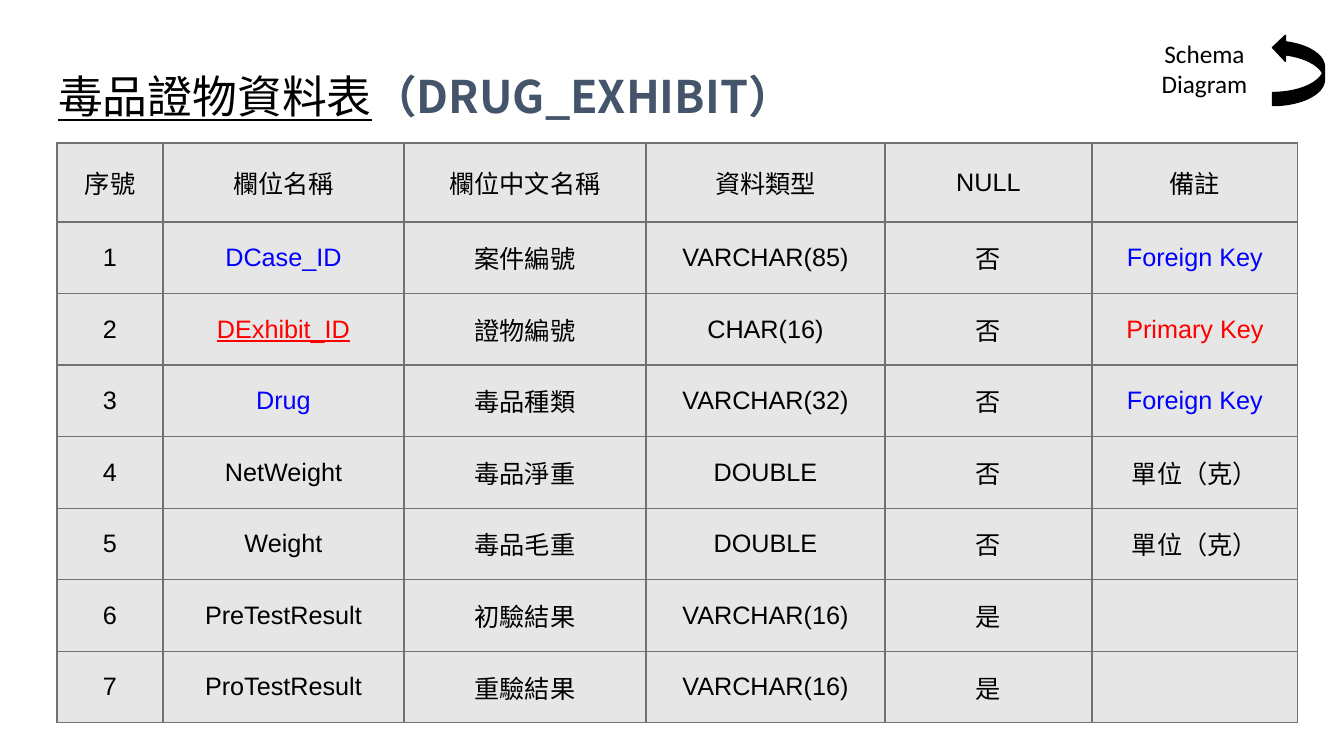
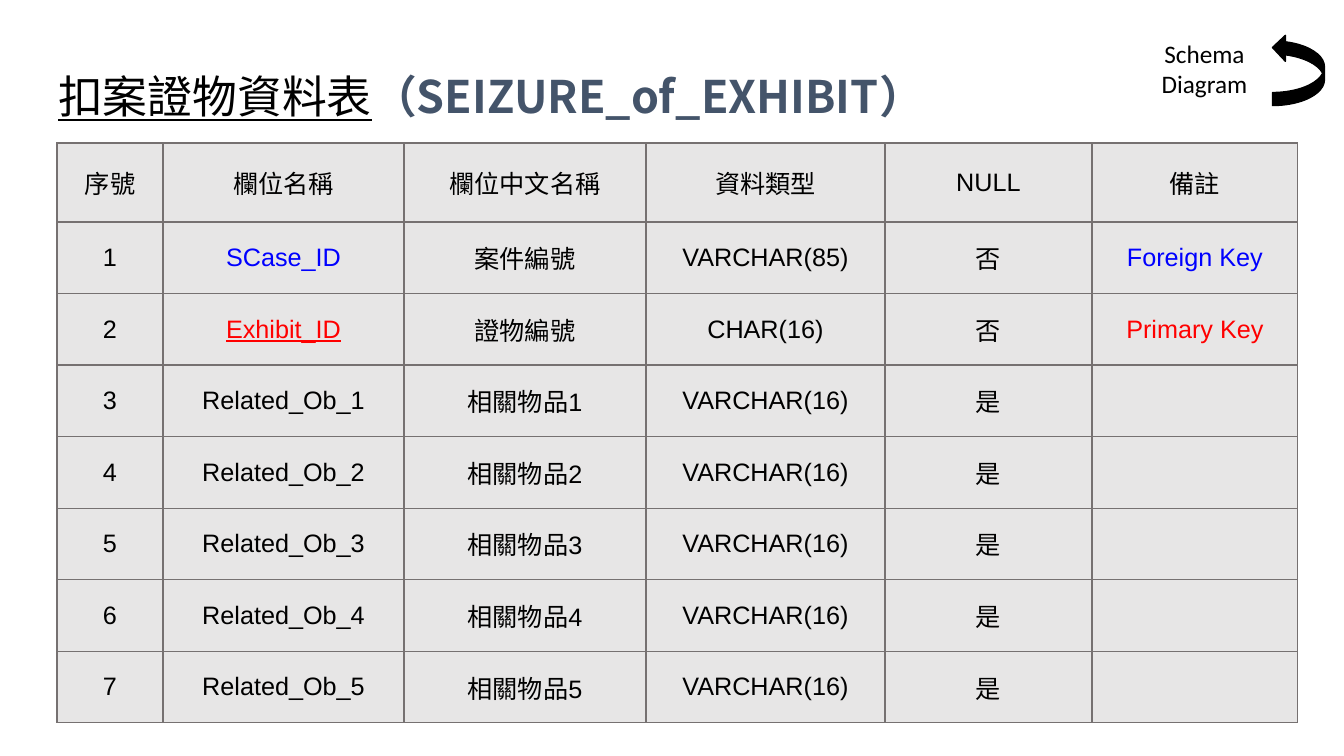
from pptx import Presentation
from pptx.dml.color import RGBColor
from pptx.enum.shapes import MSO_SHAPE
from pptx.enum.text import MSO_ANCHOR, MSO_AUTO_SIZE, PP_ALIGN
from pptx.oxml.ns import qn
from pptx.util import Emu, Pt
from lxml import etree

LEFT, CENTER = PP_ALIGN.LEFT, PP_ALIGN.CENTER
MIDDLE, NO_FIT = MSO_ANCHOR.MIDDLE, MSO_AUTO_SIZE.NONE
ARROW = MSO_SHAPE.CURVED_UP_ARROW

# Content
HEADER = ("序號", "欄位名稱", "欄位中文名稱", "資料類型", "NULL", "備註")
FOREIGN, PRIMARY = "Foreign Key", "Primary Key"
TABLES = [
    {"title": "毒品證物資料表", "code": "（DRUG_EXHIBIT）", "fields": [
        ("DCase_ID", "案件編號", "VARCHAR(85)", "否", FOREIGN),
        ("DExhibit_ID", "證物編號", "CHAR(16)", "否", PRIMARY),
        ("Drug", "毒品種類", "VARCHAR(32)", "否", FOREIGN),
        ("NetWeight", "毒品淨重", "DOUBLE", "否", "單位（克）"),
        ("Weight", "毒品毛重", "DOUBLE", "否", "單位（克）"),
        ("PreTestResult", "初驗結果", "VARCHAR(16)", "是", ""),
        ("ProTestResult", "重驗結果", "VARCHAR(16)", "是", ""),
    ]},
    {"title": "扣案證物資料表", "code": "（SEIZURE_of_EXHIBIT）", "fields": [
        ("SCase_ID", "案件編號", "VARCHAR(85)", "否", FOREIGN),
        ("Exhibit_ID", "證物編號", "CHAR(16)", "否", PRIMARY),
        *((f"Related_Ob_{n}", f"相關物品{n}", "VARCHAR(16)", "是", "")
          for n in range(1, 6)),
    ]},
]
BACK_LABEL = "Schema\vDiagram"

# Shared style
COLORS = {"text": "000000", "code": "44546A", "cell": "E7E6E6",
          "border": "767171", "foreign": "0000FF", "primary": "FF0000"}
KEY_COLORS = {FOREIGN: "foreign", PRIMARY: "primary"}
TITLE_FONT, TABLE_FONT, LABEL_FONT = "Noto Sans CJK SC", "Arial", "Calibri"

# Geometry in px
SLIDE = (1344, 756)
TITLE_BOX = (45, 56, 1252, 85)
TABLE_BOX = (57, 143, 1241, 580)
LABEL_BOX = (1151, 33, 107, 72)
ARROW_BOX = (1263, 44, 71, 52)
COL_WIDTHS = (106, 241, 242, 239, 207, 206)
HEADER_HEIGHT = 79
WIDE_INSET, CELL_INSET = 13, 7


def px(n):
    return Emu(round(n * 914400 / 100.8))


def box(rect):
    return [px(n) for n in rect]


def rgb(name):
    return RGBColor.from_string(COLORS[name])


def set_margins(target, inset):
    for side in ("left", "top", "right", "bottom"):
        setattr(target, f"margin_{side}", px(inset))


def format_font(font, color="text", **values):
    for name, value in values.items():
        setattr(font, name, value)
    font.color.rgb = rgb(color)


def add_borders(cell):
    tc_pr = cell._tc.get_or_add_tcPr()
    for i, tag in enumerate(("a:lnL", "a:lnR", "a:lnT", "a:lnB")):
        ln = etree.Element(qn(tag), w=str(Pt(1)))
        fill = etree.SubElement(ln, qn("a:solidFill"))
        etree.SubElement(fill, qn("a:srgbClr"), val=COLORS["border"])
        tc_pr.insert(i, ln)


def add_title(slide, title, code):
    sp = slide.shapes.title
    sp.left, sp.top, sp.width, sp.height = box(TITLE_BOX)
    tf = sp.text_frame
    tf.auto_size, tf.vertical_anchor = NO_FIT, MIDDLE
    set_margins(tf, WIDE_INSET)
    p = tf.paragraphs[0]
    p.alignment, p.line_spacing = LEFT, 0.9
    runs = ((title, "text", {"underline": True}), (code, "code", {"bold": True}))
    for text, color, style in runs:
        r = p.add_run()
        r.text = text
        format_font(r.font, color, name=TITLE_FONT, size=Pt(32), **style)
        etree.SubElement(r.font._element, qn("a:ea"), typeface=TITLE_FONT)


def add_cell(cell, text, inset, color="text", underline=False):
    cell.fill.solid()
    cell.fill.fore_color.rgb = rgb("cell")
    cell.vertical_anchor = MIDDLE
    set_margins(cell, inset)
    add_borders(cell)
    p = cell.text_frame.paragraphs[0]
    p.alignment = CENTER
    if text:
        r = p.add_run()
        r.text = text
        format_font(r.font, color, name=TABLE_FONT, size=Pt(18), underline=underline)


def add_field_table(slide, fields):
    rows = [(str(n), *field) for n, field in enumerate(fields, 1)]
    table = slide.shapes.add_table(len(rows) + 1, len(HEADER), *box(TABLE_BOX)).table
    table.first_row = table.horz_banding = False
    for column, width in zip(table.columns, COL_WIDTHS):
        column.width = px(width)
    row_height = (TABLE_BOX[3] - HEADER_HEIGHT) / len(rows)
    for i, row in enumerate([HEADER, *rows]):
        table.rows[i].height = px(row_height if i else HEADER_HEIGHT)
        key_color = KEY_COLORS.get(row[-1], "text")
        for j, text in enumerate(row):
            is_name, is_note = j == 1, j == len(row) - 1
            add_cell(table.cell(i, j), text, CELL_INSET if i else WIDE_INSET,
                     key_color if is_name or is_note else "text",
                     is_name and row[-1] == PRIMARY)


def add_back_mark(slide):
    sp = slide.shapes.add_shape(ARROW, *box(ARROW_BOX))
    sp.rotation = 270
    sp.shadow.inherit = False
    sp.fill.solid()
    sp.fill.fore_color.rgb = sp.line.color.rgb = rgb("text")
    sp.line.width = Pt(1)

    tf = slide.shapes.add_textbox(*box(LABEL_BOX)).text_frame
    tf.word_wrap = False
    p = tf.paragraphs[0]
    p.text, p.alignment = BACK_LABEL, CENTER
    for r in p.runs:
        format_font(r.font, name=LABEL_FONT, size=Pt(18))


def main():
    prs = Presentation()
    prs.slide_width, prs.slide_height = box(SLIDE)
    for content in TABLES:
        slide = prs.slides.add_slide(prs.slide_layouts[5])
        add_title(slide, content["title"], content["code"])
        add_field_table(slide, content["fields"])
        add_back_mark(slide)
    prs.save("out.pptx")


if __name__ == "__main__":
    main()
